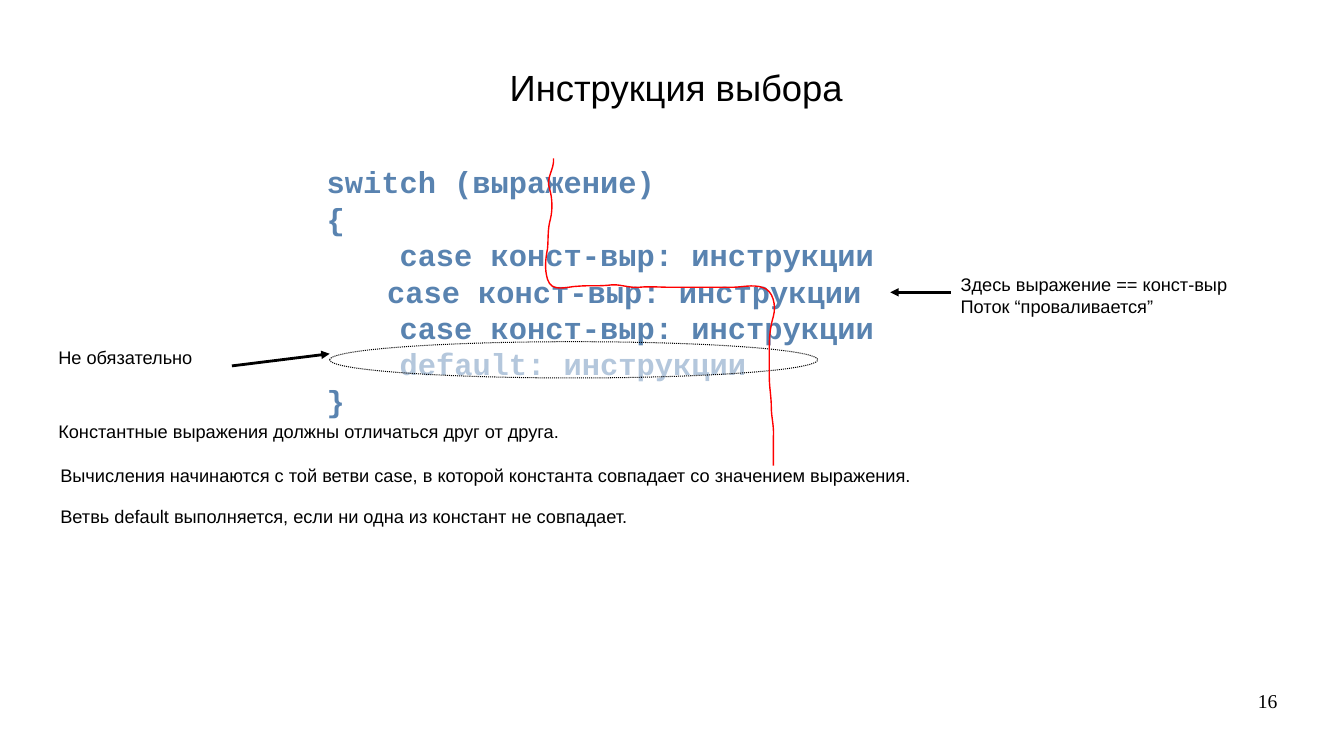
import pptx
import pptx.dml.color
import pptx.enum.dml
import pptx.enum.shapes
import pptx.enum.text
import pptx.oxml
import pptx.oxml.ns
import pptx.util

EMU_PER_PX = 9144  # 100 px to the inch
CURVE_STEPS = 8

COLOURS = {
    "ink": "000000",
    "code": "5983B0",
    "pale": "B4C7DC",
    "gap": "729FCF",
    "flow": "FF0000",
}

BODY = {"name": "Arial", "size": 13, "color": "ink"}
TITLE = {**BODY, "size": 26}
NUMBER = {"name": "Times New Roman", "size": 14, "color": "ink"}
CODE = {"name": "Courier New", "size": 21.7, "bold": True, "color": "code"}
CODE_GAP = {**CODE, "size": 18, "color": "gap"}
CODE_PALE = {**CODE, "color": "pale"}

INDENT = "    "
CASE = "case конст-выр: инструкции"
CODE_LINES = [
    [("switch (выражение)", CODE)],
    [("{", CODE)],
    [(INDENT + CASE, CODE)],
    [(INDENT, CODE_GAP), (CASE, CODE)],
    [(INDENT + CASE, CODE)],
    [(INDENT, CODE), ("default: инструкции", CODE_PALE)],
    [("}", CODE)],
]

# Text, left, top, width, height
NOTES = [
    (["Не обязательно"], 48, 339, 218, 48),
    (["Здесь выражение == конст-выр", "Поток “проваливается”"],
     943, 266, 363, 85),
    (["Константные выражения должны отличаться друг от друга."],
     48, 412, 1101, 36),
    (["Вычисления начинаются с той ветви case, в которой константа "
      "совпадает со значением выражения."], 50, 456, 1232, 40),
    (["Ветвь default выполняется, если ни одна из констант не совпадает."],
     50, 496, 1232, 40),
]

# Control, control and end point of each curve in the flow line
FLOW_START = (549, 157)
FLOW_CURVES = [
    ((550, 168), (541, 177), (545, 187)),
    ((548, 197), (548, 208), (546, 217)),
    ((543, 227), (544, 237), (543, 247)),
    ((541, 257), (540, 267), (543, 277)),
    ((547, 291), (563, 284), (573, 284)),
    ((583, 283), (593, 284), (603, 283)),
    ((614, 281), (623, 286), (634, 285)),
    ((644, 284), (655, 285), (666, 285)),
    ((676, 285), (716, 285), (726, 285)),
    ((736, 285), (746, 282), (756, 285)),
    ((767, 288), (770, 303), (767, 314)),
    ((764, 324), (763, 334), (763, 344)),
    ((763, 354), (763, 364), (763, 374)),
    ((763, 384), (765, 394), (765, 404)),
    ((765, 414), (768, 424), (767, 434)),
]
FLOW_END = (767, 462)


def px(*lengths):
    return [pptx.util.Emu(round(length * EMU_PER_PX)) for length in lengths]


def colour(name):
    return pptx.dml.color.RGBColor.from_string(COLOURS[name])


def style_font(font, style):
    for name, value in style.items():
        if name == "color":
            font.color.rgb = colour(value)
        else:
            setattr(font, name, pptx.util.Pt(value) if name == "size" else value)


def style_line(line, name, points):
    line.color.rgb = colour(name)
    line.width = pptx.util.Pt(points)


def add_text(page, lines, area, align="LEFT", margins=(10, 5), grow=True):
    """Each line is a list of (text, style) spans."""
    frame = page.shapes.add_textbox(*px(*area)).text_frame
    across, down = px(*margins)
    fit = pptx.enum.text.MSO_AUTO_SIZE
    settings = {
        "word_wrap": True,
        "auto_size": fit.SHAPE_TO_FIT_TEXT if grow else fit.NONE,
        "margin_left": across,
        "margin_right": across,
        "margin_top": down,
        "margin_bottom": down,
    }
    for name, value in settings.items():
        setattr(frame, name, value)
    for index, spans in enumerate(lines):
        para = frame.add_paragraph() if index else frame.paragraphs[0]
        para.alignment = pptx.enum.text.PP_ALIGN[align]
        for text, style in spans:
            span = para.add_run()
            span.text = text
            style_font(span.font, style)


def add_arrow(page, start, end):
    arrow = page.shapes.add_connector(
        pptx.enum.shapes.MSO_CONNECTOR.STRAIGHT, *px(*start, *end))
    style_line(arrow.line, "ink", 0)
    properties = arrow.element.spPr
    head = pptx.oxml.parse_xml(
        f'<a:tailEnd {pptx.oxml.ns.nsdecls("a")} type="triangle"/>')
    properties.find(pptx.oxml.ns.qn("a:ln")).append(head)
    properties.append(pptx.oxml.parse_xml(
        f'<a:effectLst {pptx.oxml.ns.nsdecls("a")}/>'))


def add_dotted_ellipse(page, area):
    ellipse = page.shapes.add_shape(
        pptx.enum.shapes.MSO_SHAPE.OVAL, *px(*area))
    ellipse.shadow.inherit = False
    ellipse.fill.background()
    style_line(ellipse.line, "ink", 0)
    ellipse.line.dash_style = pptx.enum.dml.MSO_LINE.ROUND_DOT


def curve_points(start, first, second, end):
    for step in range(1, CURVE_STEPS + 1):
        t = step / CURVE_STEPS
        weights = ((1 - t) ** 3, 3 * t * (1 - t) ** 2,
                   3 * t ** 2 * (1 - t), t ** 3)
        yield tuple(
            sum(weight * value for weight, value in zip(weights, values))
            for values in zip(start, first, second, end))


def add_flow_line(page):
    points = []
    start = FLOW_START
    for first, second, end in FLOW_CURVES:
        points.extend(curve_points(start, first, second, end))
        start = end
    points.append(FLOW_END)
    builder = page.shapes.build_freeform(*px(*FLOW_START))
    builder.add_line_segments([px(*point) for point in points], close=False)
    flow = builder.convert_to_shape()
    flow.shadow.inherit = False
    flow.fill.background()
    style_line(flow.line, "flow", 1)


def main():
    deck = pptx.Presentation()
    deck.slide_width, deck.slide_height = px(1333, 750)
    page = deck.slides.add_slide(deck.slide_layouts[6])

    # Title and code
    add_text(page, [[("Инструкция выбора", TITLE)]], (36, 60, 1270, 73), "CENTER")
    add_text(page, CODE_LINES, (314, 157, 689, 252))

    # Notes around and below the code
    for lines, *area in NOTES:
        add_text(page, [[(line, BODY)] for line in lines], area)

    # Optional branch, its pointer and the fall-through pointer
    add_dotted_ellipse(page, (327, 339, 484, 36))
    add_arrow(page, (230, 363), (327, 351))
    add_arrow(page, (943, 290), (883, 290))

    # Path of execution
    add_flow_line(page)

    # Page number
    add_text(page, [[("16", NUMBER)]], (956, 683, 311, 52), "RIGHT", (0, 0), False)

    deck.save("out.pptx")


if __name__ == "__main__":
    main()
